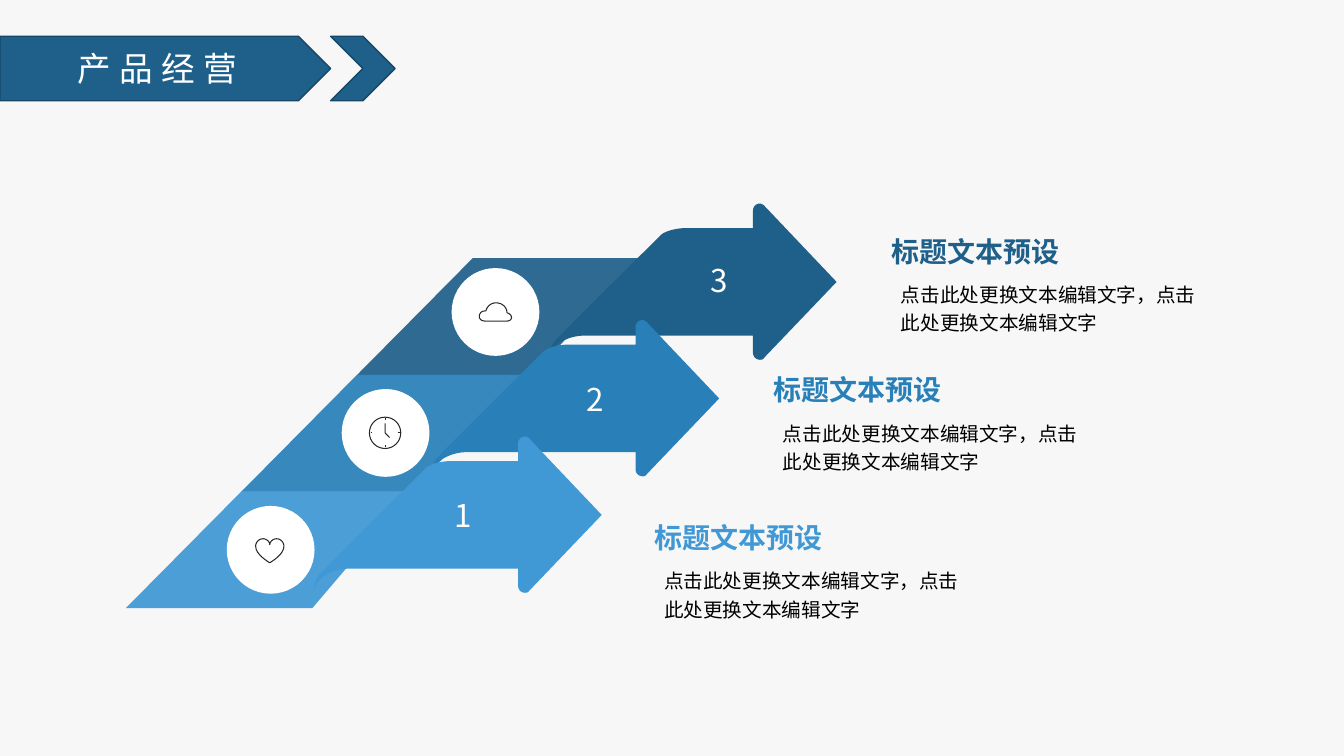
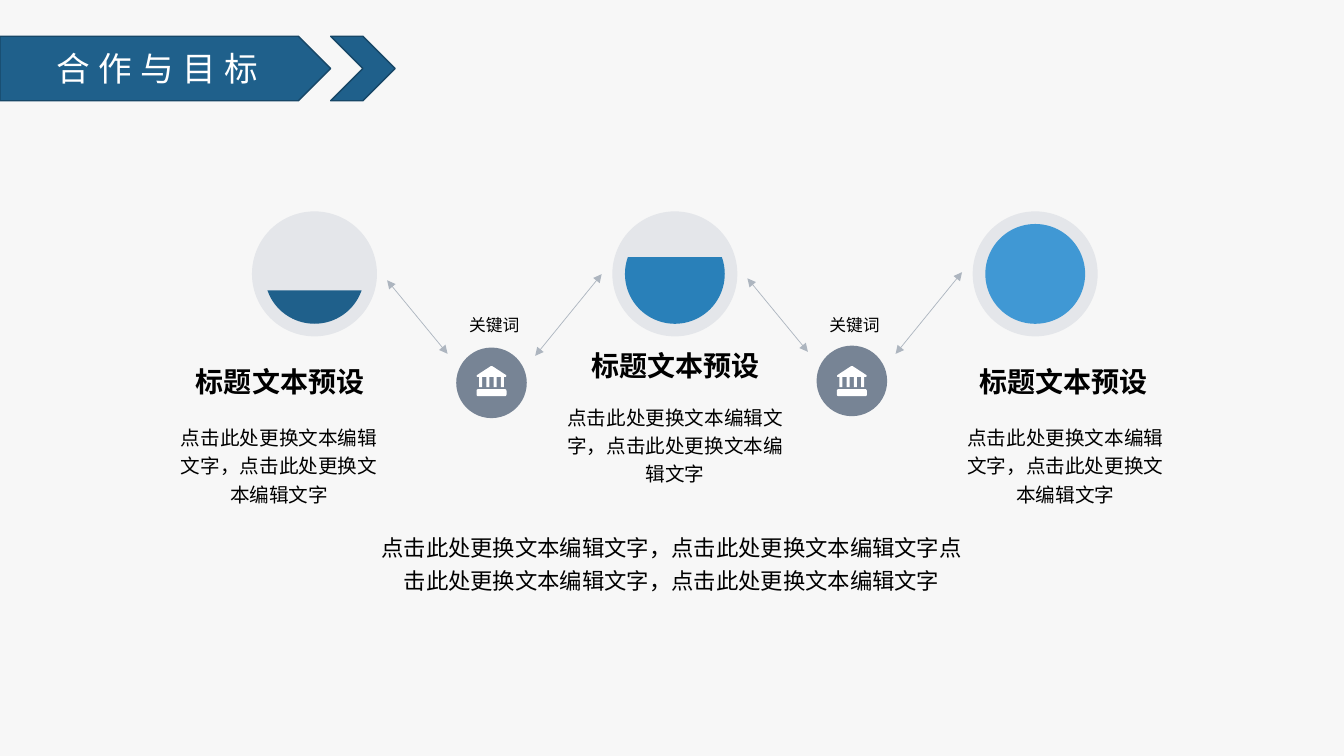
from dataclasses import dataclass
from typing import Optional

from lxml.etree import SubElement
from pptx import Presentation
from pptx.dml.color import RGBColor
from pptx.enum.shapes import MSO_CONNECTOR, MSO_SHAPE
from pptx.enum.text import MSO_ANCHOR, PP_ALIGN
from pptx.oxml.ns import qn
from pptx.util import Pt

FONT = "Noto Sans CJK SC"
NAVY, BLUE, SKY = "1F608B", "2980B9", "4098D4"
NAVY_EDGE, BACKGROUND, WHITE, BLACK = "174767", "F7F7F7", "FFFFFF", "000000"
INK, RING, SLATE, LINK_GREY = "282828", "E4E6EA", "778495", "ADB5BF"
HEADING = "标题文本预设"
SENTENCE = "点击此处更换文本编辑文字，点击此处更换文本编辑文字"
KEYWORD = "关键词"

Point = tuple[float, float]
Contour = list[tuple[float, ...]]

ARROW: list[Contour] = [[
    (151.2, 111.6), (151.9, 111.6, 153.4, 111.6, 154.1, 110.2),
    (205.9, 56), (154.1, 1.4), (153.4, 0.7, 151.9, 0, 151.2, 0),
    (148.3, 0, 146.2, 2.2, 146.2, 5), (146.2, 17.6), (100.8, 17.6),
    (97.9, 17.4, 93.6, 17.6, 89.3, 18.6),
    (85.7, 19.4, 82.1, 20.9, 80.6, 22.3),
    (79.9, 23, 7.9, 94.3, 4.3, 98.6), (2.2, 101.5, 0, 107.3, 0, 110.2),
    (1.4, 105.1, 5, 100.8, 9.4, 98.6),
    (14.4, 95.8, 20.2, 94.3, 26.6, 94.3), (146.2, 94.3), (146.2, 106.6),
    (146.2, 109.4, 148.3, 111.6, 151.2, 111.6),
]]
HEART: list[Contour] = [[
    (30.7, 40.6), (29.2, 39.6, 20.6, 34.6, 20.6, 28.8),
    (20.6, 26, 22.9, 23.4, 25.9, 23.4), (28.4, 23.4, 30.7, 25.6, 30.7, 27.7),
    (30.7, 25.6, 33, 23.4, 35.5, 23.4), (38.5, 23.4, 40.8, 26, 40.8, 28.8),
    (40.8, 34.6, 32.2, 39.6, 30.7, 40.6),
]]
CLOCK: list[Contour] = [
    [(31, 20.1), (37.2, 20.1, 42.2, 25.1, 42.2, 31.3),
     (42.2, 37.5, 37.2, 42.5, 31, 42.5), (24.8, 42.5, 19.8, 37.5, 19.8, 31.3),
     (19.8, 25.1, 24.8, 20.1, 31, 20.1)],
    [(31, 24.5), (31, 31.3), (34.2, 34.7)],
    [(31, 20.9), (31, 22.3)], [(31, 40.3), (31, 41.7)],
    [(20.6, 31.3), (22, 31.3)], [(40, 31.3), (41.4, 31.3)],
]
CLOUD: list[Contour] = [[
    (39.6, 37.8), (23.8, 37.8), (21.4, 37.8, 19.8, 36.4, 19.8, 34.6),
    (19.8, 32.2, 21.4, 30.6, 23.8, 30.6), (24.5, 30.6),
    (25.2, 27.4, 28, 24.8, 31.7, 24.8), (36.2, 24.8, 39.6, 28, 39.6, 32),
    (41.4, 32.2, 42.8, 33.8, 42.8, 35.3), (42.8, 36.7, 41.4, 37.8, 39.6, 37.8),
]]


def bank_icon() -> list[Contour]:
    base: Contour = [
        (1.2, 16.6), (20.2, 16.6), (21.4, 16.6, 21.4, 17.8, 21.4, 17.8),
        (21.4, 20.4), (21.4, 21.6, 20.2, 21.6, 20.2, 21.6), (1.2, 21.6),
        (0, 21.6, 0, 20.4, 0, 20.4), (0, 17.8), (0, 16.6, 1.2, 16.6, 1.2, 16.6),
    ]
    roof: Contour = [(10.1, 0.2), (10.7, -0.1, 11.3, 0.2, 11.3, 0.2),
                     (21, 6.5), (21.6, 7.2, 21, 7.9, 20.5, 7.9)]
    for column in reversed(range(4)):
        left = 1.8 + 5.2 * column
        roof += [(left + 2.1, 7.9), (left + 2.1, 15.1), (left, 15.1), (left, 7.9)]
    return [base, roof + [(0.9, 7.9), (0.2, 7.9, -0.2, 7.2, 0.4, 6.5)]]


@dataclass
class Step:
    colour: str
    icon: list[Contour]
    foot: float
    number: Point
    badge: Point
    text: Point


@dataclass
class Goal:
    colour: str
    chord: Point
    heading: tuple[float, float, float]
    body: tuple[float, float, float, float]


STEPS = [
    Step(SKY, HEART, 133.2, (311.8, 354.2), (162, 361.4), (467.3, 367.2)),
    Step(BLUE, CLOCK, 120.2, (406.1, 271.4), (244.1, 277.9), (552.2, 261.6)),
    Step(NAVY, CLOUD, 124.6, (494.6, 186.5), (322.6, 191.5), (636.5, 162.6)),
]
GOALS = [
    Goal(NAVY, (11.68, 96.32), (127.4, 257, 145.4), (121.7, 297.4, 155.5, 70.6)),
    Goal(BLUE, (204.32, 119.68), (393.8, 245.5, 177.1), (393.8, 283, 177.1, 76.3)),
    Goal(SKY, (162, 162), (686.9, 257, 145.4), (683.3, 297.4, 155.5, 70.6)),
]


def rgb(colour: str) -> RGBColor:
    return RGBColor.from_string(colour)


def paint(sp, fill: Optional[str], line: Optional[str] = None,
          width: float = 1, alpha: int = 100) -> None:
    sp.shadow.inherit = False
    if fill:
        sp.fill.solid()
        sp.fill.fore_color.rgb = rgb(fill)
        if alpha < 100:
            clr = sp._element.spPr.find(qn("a:solidFill")).find(qn("a:srgbClr"))
            SubElement(clr, qn("a:alpha")).set("val", str(alpha * 1000))
    else:
        sp.fill.background()
    if line:
        sp.line.color.rgb = rgb(line)
        sp.line.width = Pt(width)
    else:
        sp.line.fill.background()


def add_shape(slide, kind, x: float, y: float, w: float, h: float,
              fill: str, line: Optional[str] = None):
    sp = slide.shapes.add_shape(kind, Pt(x), Pt(y), Pt(w), Pt(h))
    paint(sp, fill, line)
    return sp


def flatten(contour: Contour, x: float, y: float, pieces: int = 8) -> list[Point]:
    points = [contour[0]]
    for seg in contour[1:]:
        if len(seg) == 2:
            points.append(seg)
            continue
        start, c1, c2, end = points[-1], seg[:2], seg[2:4], seg[4:]
        for i in range(1, pieces + 1):
            t = i / pieces
            u = 1 - t
            points.append(tuple(
                u**3 * a + 3 * u * u * t * b + 3 * u * t * t * c + t**3 * d
                for a, b, c, d in zip(start, c1, c2, end)))
    return [(Pt(x + px), Pt(y + py)) for px, py in points]


def add_outline(slide, contours: list[Contour], x: float, y: float,
                fill: Optional[str] = None, line: Optional[str] = None,
                alpha: int = 100) -> None:
    paths = [flatten(contour, x, y) for contour in contours]
    builder = slide.shapes.build_freeform(*paths[0][0], scale=1.0)
    for i, points in enumerate(paths):
        if i:
            builder.move_to(*points[0])
        builder.add_line_segments(points[1:], close=fill is not None)
    paint(builder.convert_to_shape(), fill, line, 0.75, alpha)


def write(tf, text: str, size: float, colour: str = BLACK, align=PP_ALIGN.CENTER,
          bold: bool = False, leading: Optional[float] = None,
          tracking: float = 0) -> None:
    p = tf.paragraphs[0]
    p.text = text
    p.alignment = align
    if leading:
        p.line_spacing = leading
    p.font.name = FONT
    p.font.size = Pt(size)
    p.font.bold = bold
    p.font.color.rgb = rgb(colour)
    props = p._p.pPr.find(qn("a:defRPr"))
    SubElement(props, qn("a:ea")).set("typeface", FONT)
    if tracking:
        props.set("spc", str(int(tracking * 100)))


def add_text(slide, x: float, y: float, w: float, h: float, text: str, size: float,
             wrap: bool = True, anchor=MSO_ANCHOR.TOP,
             inset: Optional[float] = None, **style) -> None:
    tf = slide.shapes.add_textbox(Pt(x), Pt(y), Pt(w), Pt(h)).text_frame
    tf.word_wrap = wrap
    tf.vertical_anchor = anchor
    if inset is not None:
        tf.margin_left = tf.margin_right = Pt(inset)
        tf.margin_top = tf.margin_bottom = Pt(inset)
    write(tf, text, size, **style)


def add_link(slide, start: Point, end: Point) -> None:
    cx = slide.shapes.add_connector(
        MSO_CONNECTOR.STRAIGHT, *(Pt(v) for v in start + end))
    cx.line.color.rgb = rgb(LINK_GREY)
    cx.line.width = Pt(0.5)
    ln = cx.line._get_or_add_ln()
    for tag in ("a:headEnd", "a:tailEnd"):
        SubElement(ln, qn(tag)).set("type", "triangle")
    SubElement(cx._element.spPr, qn("a:effectLst"))


def add_titled_slide(prs, title: str):
    slide = prs.slides.add_slide(prs.slide_layouts[6])
    sp = add_shape(slide, MSO_SHAPE.PENTAGON, 0, 25.9, 236.2, 46.1, NAVY, NAVY_EDGE)
    sp.text_frame.vertical_anchor = MSO_ANCHOR.MIDDLE
    write(sp.text_frame, title, 24, WHITE, tracking=6)
    add_shape(slide, MSO_SHAPE.CHEVRON, 236.2, 25.9, 46.1, 46.1, NAVY, NAVY_EDGE)
    return slide


def build_steps(prs) -> None:
    slide = add_titled_slide(prs, "产品经营")
    for i, step in reversed(list(enumerate(STEPS))):
        rise = 83.2 * i
        band: Contour = [(82.8, 0), (204.5, 0), (step.foot, 83.6), (0, 83.6)]
        add_outline(slide, [band], 90 + 82.5 * i, 350.7 - rise, step.colour, alpha=93)
        add_outline(slide, ARROW, 223.9 + 83.9 * i, 311.8 - rise, step.colour)
    for i, step in enumerate(STEPS, 1):
        add_text(slide, *step.number, 38.2, 27.4, str(i), 22.4,
                 anchor=MSO_ANCHOR.MIDDLE, inset=2.2, colour=WHITE)
        add_shape(slide, MSO_SHAPE.OVAL, *step.badge, 62.7, 62.7, WHITE)
        add_outline(slide, step.icon, *step.badge, line=INK)
        x, y = step.text
        add_text(slide, x, y + 32.8, 233.3, 46.8, SENTENCE, 14,
                 anchor=MSO_ANCHOR.MIDDLE, align=PP_ALIGN.LEFT, leading=1.2)
        add_text(slide, x, y, 139.7, 27.4, HEADING, 20, wrap=False, inset=0,
                 colour=step.colour, align=PP_ALIGN.LEFT, bold=True, leading=1.2)


def build_goals(prs) -> None:
    slide = add_titled_slide(prs, "合作与目标")
    pitch = 257.4
    for i, goal in enumerate(GOALS):
        x = 180 + pitch * i
        add_shape(slide, MSO_SHAPE.OVAL, x, 151, 89.3, 89.3, RING)
        sp = add_shape(slide, MSO_SHAPE.CHORD, x + 9, 160, 71.3, 71.3, goal.colour)
        sp.adjustments[0], sp.adjustments[1] = goal.chord
        add_text(slide, *goal.heading, 26.6, HEADING, 20, wrap=False, bold=True)
        add_text(slide, *goal.body, SENTENCE, 14, leading=1.2)
    for i in range(len(GOALS) - 1):
        dx, dy = pitch * i, -1.4 * i
        add_link(slide, (276.5 + dx, 200.2 + dy), (319.7 + dx, 252.7 + dy))
        add_link(slide, (429.8 + dx, 195.8 + dy), (382.3 + dx, 254.2 + dy))
        add_shape(slide, MSO_SHAPE.OVAL, 325.9 + dx, 248.3 + dy, 50.4, 50.4, SLATE)
        add_text(slide, 314.6 + dx, 221, 77, 21.6, KEYWORD, 12, wrap=False)
        add_outline(slide, bank_icon(), 340.4 + dx, 261.4, WHITE)
    add_text(slide, 258.5, 374.4, 442.8, 42.5, SENTENCE * 2, 16, leading=1.2)


def main() -> None:
    prs = Presentation()
    prs.slide_width, prs.slide_height = Pt(960), Pt(540)
    fill = prs.slide_master.background.fill
    fill.solid()
    fill.fore_color.rgb = rgb(BACKGROUND)
    build_steps(prs)
    build_goals(prs)
    prs.save("out.pptx")


if __name__ == "__main__":
    main()
